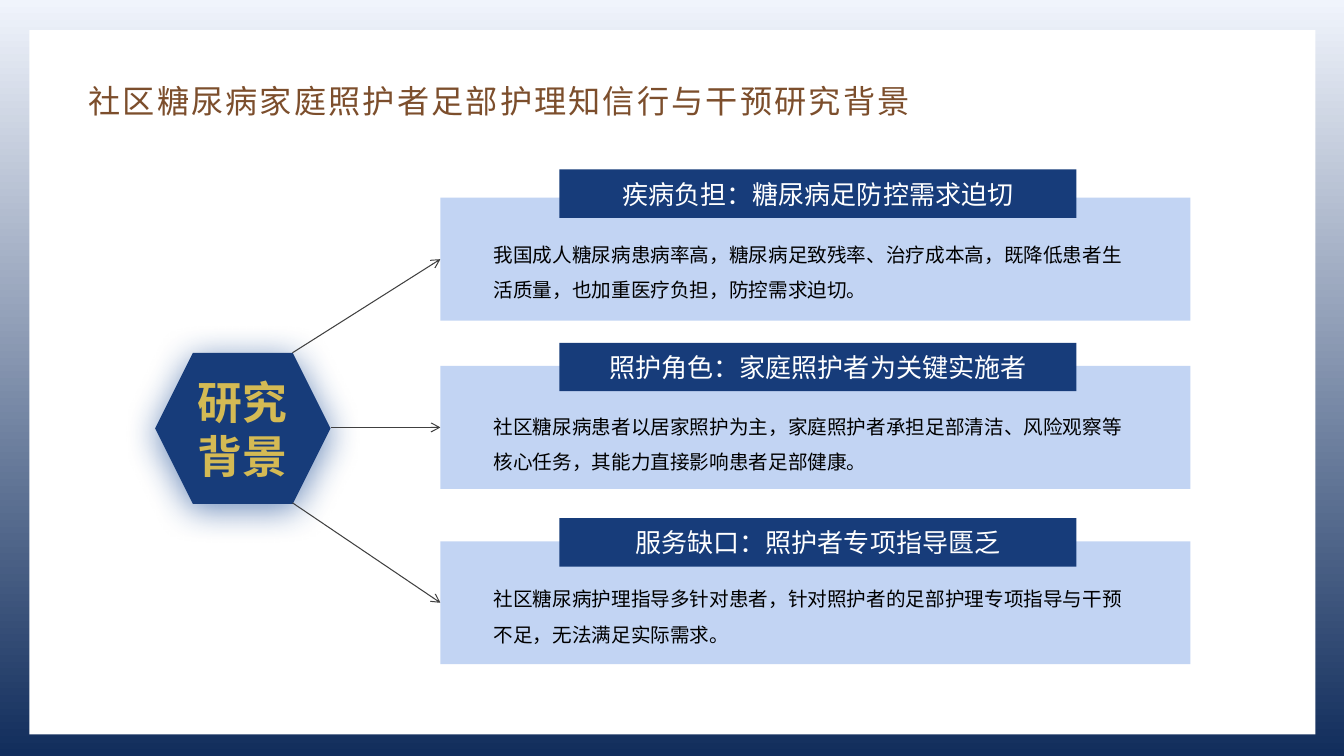
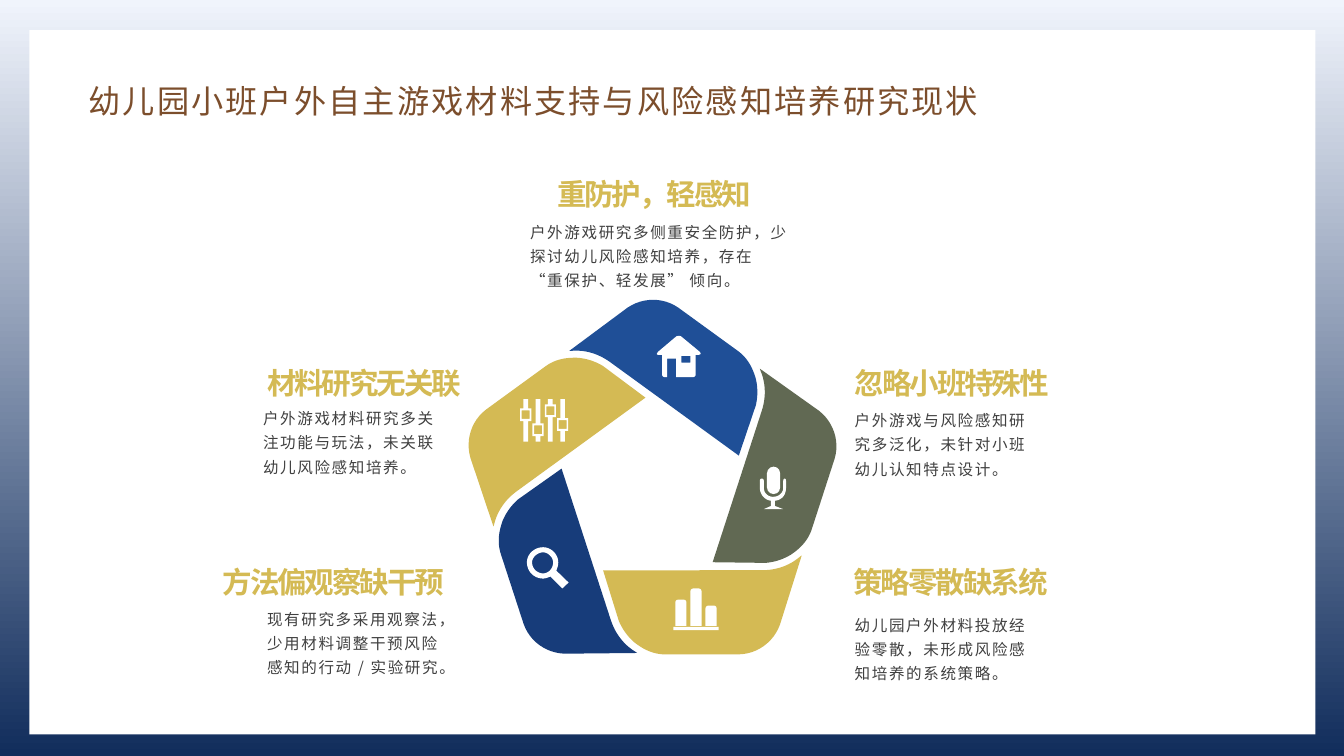
"""Build two research slides: a background diagram and a pentagon of current findings."""
from math import cos, radians, sin

from lxml import etree
from pptx import Presentation
from pptx.dml.color import RGBColor
from pptx.enum.shapes import MSO_CONNECTOR, MSO_SHAPE
from pptx.enum.text import MSO_ANCHOR, PP_ALIGN
from pptx.oxml.ns import qn
from pptx.util import Cm, Pt

RECT = MSO_SHAPE.RECTANGLE
HEXAGON = MSO_SHAPE.HEXAGON
CAPSULE = MSO_SHAPE.ROUNDED_RECTANGLE
ROUND_TOP = MSO_SHAPE.ROUND_2_SAME_RECTANGLE
STRAIGHT = MSO_CONNECTOR.STRAIGHT
TOP, MIDDLE = MSO_ANCHOR.TOP, MSO_ANCHOR.MIDDLE
LEFT, CENTER = PP_ALIGN.LEFT, PP_ALIGN.CENTER

FONT = "Noto Sans CJK SC"
COLORS = {
    "sky": "F0F4FC", "night": "112D5C", "white": "FFFFFF", "black": "000000",
    "brown": "7C4E2C", "pale": "C2D4F3", "navy": "173C7A", "blue": "1F4F97",
    "gold": "D4BA54", "olive": "616953", "gray": "404040",
}
RGB = {name: RGBColor.from_string(code) for name, code in COLORS.items()}
CURVE_STEPS = 12


def block(slide, box, text="", kind=None, fill=None, size=14, color="black", bold=False,
          align=LEFT, anchor=TOP, line=1.0, after=0, tracking=0):
    """Place a filled shape, or a plain text box if kind is None, with formatted text."""
    place = [Cm(value) for value in box]
    if kind is None:
        shape = slide.shapes.add_textbox(*place)
    else:
        shape = slide.shapes.add_shape(kind, *place)
        shape.shadow.inherit = False
        shape.fill.solid()
        shape.fill.fore_color.rgb = RGB[fill]
        shape.line.fill.background()
    if text:
        frame = shape.text_frame
        frame.word_wrap = True
        frame.vertical_anchor = anchor
        paragraph = frame.paragraphs[0]
        paragraph.alignment = align
        paragraph.line_spacing = line
        paragraph.space_after = Pt(after)
        run = paragraph.add_run()
        run.text = text
        run.font.size = Pt(size)
        run.font.bold = bold
        run.font.color.rgb = RGB[color]
        run.font.name = FONT
        properties = run._r.get_or_add_rPr()
        properties.set("spc", str(round(tracking * 100)))
        etree.SubElement(properties, qn("a:ea"), typeface=FONT)
    return shape


def outline(slide, contours, fill):
    """Draw closed contours in cm; six numbers make a Bezier curve, two a straight line."""
    builder = None
    for start, *steps in contours:
        points, (x, y) = [], start
        for step in steps:
            if len(step) == 6:
                x1, y1, x2, y2, x3, y3 = step
                for i in range(1, CURVE_STEPS + 1):
                    t = i / CURVE_STEPS
                    a, b, c, d = (1 - t) ** 3, 3 * t * (1 - t) ** 2, 3 * t * t * (1 - t), t ** 3
                    points.append((Cm(a * x + b * x1 + c * x2 + d * x3),
                                   Cm(a * y + b * y1 + c * y2 + d * y3)))
            else:
                points.append((Cm(step[0]), Cm(step[1])))
            x, y = step[-2:]
        origin = Cm(start[0]), Cm(start[1])
        if builder is None:
            builder = slide.shapes.build_freeform(*origin, scale=1.0)
        else:
            builder.move_to(*origin)
        builder.add_line_segments(points, close=True)
    shape = builder.convert_to_shape()
    shape.shadow.inherit = False
    shape.fill.solid()
    shape.fill.fore_color.rgb = RGB[fill]
    shape.line.fill.background()


prs = Presentation()
prs.slide_width, prs.slide_height = Cm(33.87), Cm(19.05)
backdrop = prs.slide_master.background.fill
backdrop.gradient()
backdrop.gradient_angle = 270
for stop, name in zip(backdrop.gradient_stops, ("sky", "night")):
    stop.color.rgb = RGB[name]

slides = []
for title, width in (("社区糖尿病家庭照护者足部护理知信行与干预研究背景", 23.62),
                     ("幼儿园小班户外自主游戏材料支持与风险感知培养研究现状", 27.43)):
    slide = prs.slides.add_slide(prs.slide_layouts[6])
    block(slide, (0.74, 0.76, 32.41, 17.75), kind=RECT, fill="white")
    block(slide, (1.98, 1.63, width, 1.52), title, size=23, color="brown",
          line=1.3, after=10, tracking=1.5)
    slides.append(slide)
background, findings = slides

hub = block(background, (3.91, 8.89, 4.42, 3.81), "研究背景", HEXAGON, "navy", size=32,
            color="gold", bold=True, align=CENTER, anchor=MIDDLE)
glow = etree.SubElement(hub._element.spPr.find(qn("a:effectLst")), qn("a:outerShdw"),
                        blurRad=str(Pt(25)), dist=str(Pt(4)), dir="5400000",
                        algn="ctr", rotWithShape="0")
tint = etree.SubElement(glow, qn("a:srgbClr"), val=COLORS["blue"])
etree.SubElement(tint, qn("a:alpha"), val="65000")

for start_x, start_y, end_y in ((7.37, 8.89, 6.53), (8.33, 10.77, 10.77), (7.37, 12.67, 15.19)):
    arrow = background.shapes.add_connector(STRAIGHT, Cm(start_x), Cm(start_y), Cm(11.1), Cm(end_y))
    arrow.line.color.rgb = RGB["gray"]
    arrow.line.width = Pt(0.75)
    etree.SubElement(arrow.line._get_or_add_ln(), qn("a:tailEnd"), type="arrow")
    etree.SubElement(arrow._element.spPr, qn("a:effectLst"))

reasons = (
    (4.98, 4.27, 5.69, "疾病负担：糖尿病足防控需求迫切",
     "我国成人糖尿病患病率高，糖尿病足致残率、治疗成本高，既降低患者生活质量，也加重医疗负担，防控需求迫切。"),
    (9.22, 8.64, 10.03, "照护角色：家庭照护者为关键实施者",
     "社区糖尿病患者以居家照护为主，家庭照护者承担足部清洁、风险观察等核心任务，其能力直接影响患者足部健康。"),
    (13.64, 13.06, 14.38, "服务缺口：照护者专项指导匮乏",
     "社区糖尿病护理指导多针对患者，针对照护者的足部护理专项指导与干预不足，无法满足实际需求。"),
)
for panel_y, heading_y, detail_y, heading, detail in reasons:
    block(background, (11.1, panel_y, 18.9, 3.1), kind=RECT, fill="pale")
    block(background, (14.1, heading_y, 13.03, 1.22), heading, RECT, "navy", size=18.6,
          color="white", align=CENTER, anchor=MIDDLE)
    block(background, (12.19, detail_y, 16.81, 2.06), detail, line=1.5)

PENTAGON_X, PENTAGON_Y = 16.44, 12.37
petal = (
    (2.61, -2.16), (2.66, -2.39, 2.66, -2.59, 2.61, -2.82),
    (2.53, -3.1, 2.41, -3.33, 2.18, -3.51), (0.65, -4.62),
    (0.27, -4.88, -0.23, -4.88, -0.62, -4.62), (-2.09, -3.53), (-2.04, -3.53),
    (-1.68, -3.56, -1.35, -3.45, -1.07, -3.25), (2.18, -0.89),
)
for turn, name in enumerate(("blue", "olive", "gold", "navy", "gold")):
    c, s = cos(radians(72 * turn)), sin(radians(72 * turn))
    turned = []
    for step in petal:
        pairs = zip(step[::2], step[1::2])
        turned.append([value for x, y in pairs
                       for value in (PENTAGON_X + x * c - y * s, PENTAGON_Y + x * s + y * c)])
    outline(findings, [turned], name)

for i, knob in enumerate((10.29, 10.67, 10.19, 10.54)):
    x, low = 13.11 + 0.31 * i, knob + 0.32
    outline(findings, [
        [(x + 0.08, 10.06), (x + 0.08, knob), (x, knob), (x, low), (x + 0.08, low),
         (x + 0.08, 11.13), (x + 0.2, 11.13), (x + 0.2, low), (x + 0.28, low),
         (x + 0.28, knob), (x + 0.2, knob), (x + 0.2, 10.06)],
        [(x + 0.24, knob + 0.05), (x + 0.24, low - 0.05),
         (x + 0.04, low - 0.05), (x + 0.04, knob + 0.05)],
    ], "white")

magnifier = (
    ((14.33, 14.68), (14.02, 14.38), (14.05, 14.3, 14.07, 14.25, 14.07, 14.17),
     (14.07, 13.97, 13.89, 13.79, 13.69, 13.79), (13.46, 13.79, 13.28, 13.97, 13.28, 14.17),
     (13.28, 14.4, 13.46, 14.58, 13.69, 14.58), (13.74, 14.58, 13.82, 14.55, 13.87, 14.53),
     (14.17, 14.83)),
    ((13.41, 14.17), (13.41, 14.05, 13.54, 13.92, 13.69, 13.92),
     (13.82, 13.92, 13.94, 14.05, 13.94, 14.17), (13.94, 14.33, 13.82, 14.45, 13.69, 14.45),
     (13.54, 14.45, 13.41, 14.33, 13.41, 14.17)),
)
house = (
    ((17.63, 8.86), (17.17, 8.48), (17.15, 8.46, 17.07, 8.46, 17.04, 8.48), (16.59, 8.86),
     (16.54, 8.92, 16.54, 8.94, 16.59, 8.94), (16.69, 8.94), (16.69, 9.45),
     (16.69, 9.47, 16.71, 9.5, 16.74, 9.5), (16.81, 9.5), (16.81, 9.04), (17.04, 9.04),
     (17.04, 9.5), (17.48, 9.5), (17.5, 9.5, 17.53, 9.47, 17.53, 9.45), (17.53, 8.94),
     (17.6, 8.94), (17.65, 8.94, 17.68, 8.92, 17.63, 8.86)),
    ((17.4, 9.14), (17.17, 9.14), (17.17, 8.97), (17.4, 8.97)),
)
microphone_stand = (
    ((19.81, 12.29), (19.81, 12.12), (19.81, 12.04, 19.74, 12.04, 19.74, 12.12), (19.74, 12.29),
     (19.74, 12.42, 19.63, 12.52, 19.48, 12.52), (19.35, 12.52, 19.25, 12.42, 19.25, 12.29),
     (19.25, 12.12), (19.25, 12.04, 19.15, 12.04, 19.15, 12.12), (19.15, 12.29),
     (19.15, 12.47, 19.28, 12.6, 19.43, 12.62), (19.43, 12.75), (19.25, 12.83), (19.74, 12.83),
     (19.53, 12.75), (19.53, 12.62), (19.71, 12.6, 19.81, 12.47, 19.81, 12.29)),
)
for icon in (magnifier, house, microphone_stand):
    outline(findings, icon, "white")
microphone = block(findings, (19.33, 11.76, 0.33, 0.69), kind=CAPSULE, fill="white")
microphone.adjustments[0] = 0.5

for i, height in enumerate((0.66, 0.94, 0.51)):
    bar = block(findings, (17.02 + 0.38 * i, 15.77 - height, 0.28, height),
                kind=ROUND_TOP, fill="white")
    bar.adjustments[0] = 0.25
block(findings, (16.97, 15.8, 1.14, 0.08), kind=RECT, fill="white")

gaps = (
    ((13.79, 4.32, 6.05), "重防护，轻感知", (13.11, 5.33, 7.09),
     "户外游戏研究多侧重安全防护，少探讨幼儿风险感知培养，存在 “重保护、轻发展” 倾向。"),
    ((21.29, 9.07, 5.69), "忽略小班特殊性", (21.29, 10.08, 5.23),
     "户外游戏与风险感知研究多泛化，未针对小班幼儿认知特点设计。"),
    ((21.26, 14.1, 6.17), "策略零散缺系统", (21.29, 15.24, 5.23),
     "幼儿园户外材料投放经验零散，未形成风险感知培养的系统策略。"),
    ((6.48, 9.07, 5.66), "材料研究无关联", (6.38, 10.03, 5.23),
     "户外游戏材料研究多关注功能与玩法，未关联幼儿风险感知培养。"),
    ((5.36, 14.1, 6.76), "方法偏观察缺干预", (6.48, 15.09, 5.23),
     "现有研究多采用观察法，少用材料调整干预风险感知的行动 / 实验研究。"),
)
for heading_box, heading, detail_box, detail in gaps:
    block(findings, (*heading_box, 1.14), heading, size=21.1, color="gold", bold=True,
          anchor=MIDDLE, tracking=-1.5)
    block(findings, (*detail_box, 2.11), detail, size=11.1, color="gray",
          anchor=MIDDLE, line=1.3, tracking=1.1)

prs.save("out.pptx")
